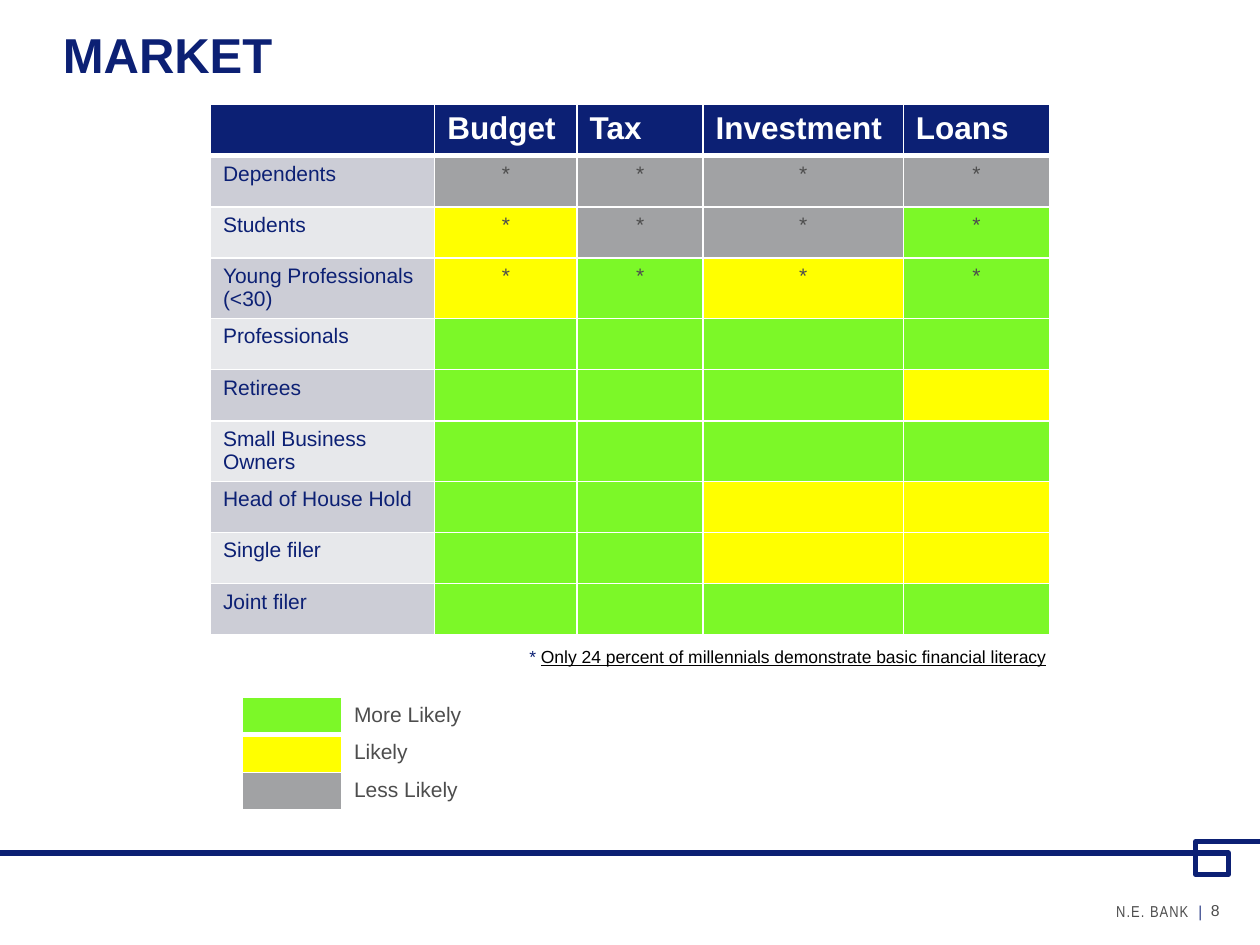
"""Build the market slide: a likelihood grid by customer group with its legend."""
import lxml.etree
import pptx
import pptx.dml.color
import pptx.enum.text
import pptx.oxml.ns
import pptx.util

Inches = pptx.util.Inches
Pt = pptx.util.Pt
qn = pptx.oxml.ns.qn
ALIGN = pptx.enum.text.PP_ALIGN
ANCHOR = pptx.enum.text.MSO_ANCHOR

COLORS = {
    "navy": "0C2074", "white": "FFFFFF", "black": "000000", "text": "4D4D4D",
    "more": "7CF828", "likely": "FFFF00", "less": "A1A2A4",
    "band_dark": "CCCDD6", "band_light": "E7E8EB",
}
HEADER = {"size": Pt(18), "bold": True, "color": "white"}
GROUP = {"size": Pt(12), "color": "navy"}
BODY = {"size": Pt(12), "color": "text"}
FOOTER = {"size": Pt(9), "color": "text"}
LEVELS = {"M": "more", "L": "likely", "S": "less"}
SERVICES = ["", "Budget", "Tax", "Investment", "Loans"]
GROUPS = [
    ("Dependents", "SSSS", "*"),
    ("Students", "LSSM", "*"),
    ("Young Professionals (<30)", "LMLM", "*"),
    ("Professionals", "MMMM", ""),
    ("Retirees", "MMML", ""),
    ("Small Business Owners", "MMMM", ""),
    ("Head of House Hold", "MMLL", ""),
    ("Single filer", "MMLL", ""),
    ("Joint filer", "MMMM", ""),
]
LEGEND = [("more", "More Likely"), ("likely", "Likely"), ("less", "Less Likely")]
RAIL = [(10, 6.68), (9.49, 6.68), (9.49, 6.94), (9.75, 6.94), (9.75, 6.77), (0, 6.77)]


def rgb(name):
    """Return the named color."""
    return pptx.dml.color.RGBColor.from_string(COLORS[name])


def add_span(para, text, style):
    """Add a run of text formatted by a dict of font values."""
    span = para.add_run()
    span.text = text
    for key, value in {"name": "Arial", **style}.items():
        if key == "color":
            span.font.color.rgb = rgb(value)
        else:
            setattr(span.font, key, value)
    return span


def add_text(page, place, spans, align=ALIGN.LEFT, anchor=ANCHOR.BOTTOM, inset=0):
    """Add a wrapped one-paragraph text box and return its runs."""
    box = page.shapes.add_textbox(*map(Inches, place))
    frame = box.text_frame
    values = {"word_wrap": True, "vertical_anchor": anchor}
    for index, side in enumerate(("left", "right", "top", "bottom")):
        values[f"margin_{side}"] = Inches(inset if index < 2 else inset / 2)
    for key, value in values.items():
        setattr(frame, key, value)
    para = frame.paragraphs[0]
    para.alignment = align
    return [add_span(para, text, style) for text, style in spans]


def set_borders(cell, bottom):
    """Give a cell white borders with its own bottom width in points."""
    properties = cell._tc.get_or_add_tcPr()
    widths = {"lnL": 1, "lnR": 1, "lnT": 1, "lnB": bottom}
    for index, (tag, width) in enumerate(widths.items()):
        line = lxml.etree.Element(qn(f"a:{tag}"), w=str(Pt(width)))
        solid = lxml.etree.SubElement(line, qn("a:solidFill"))
        lxml.etree.SubElement(solid, qn("a:srgbClr"), val=COLORS["white"])
        properties.insert(index, line)


def fill_cell(cell, text, fill, style, align):
    """Write a cell's text and fill; an empty cell keeps the text size."""
    cell.margin_bottom = Inches(0.03)
    para = cell.text_frame.paragraphs[0]
    para.alignment = align
    if text:
        add_span(para, text, style)
    else:
        size = str(int(style["size"].pt * 100))
        lxml.etree.SubElement(para._p, qn("a:endParaRPr"), sz=size)
    if fill:
        cell.fill.solid()
        cell.fill.fore_color.rgb = rgb(fill)
    else:
        cell.fill.background()


def add_grid(page, place, widths, rows):
    """Add a table of equal rows from (text, fill, style, align) cells."""
    size = (len(rows), len(widths))
    table = page.shapes.add_table(*size, *map(Inches, place)).table
    table.horz_banding = False
    for column, width in zip(table.columns, widths):
        column.width = Inches(width)
    for row_index, row in enumerate(rows):
        table.rows[row_index].height = Inches(place[3] / len(rows))
        for column_index, content in enumerate(row):
            cell = table.cell(row_index, column_index)
            fill_cell(cell, *content)
            set_borders(cell, 1 if row_index else 3)


def market_rows():
    """Return the header and customer rows of the market grid."""
    rows = [[(name, "navy", HEADER, ALIGN.LEFT) for name in SERVICES]]
    for index, (group, levels, mark) in enumerate(GROUPS):
        band = "band_light" if index % 2 else "band_dark"
        cells = [(mark, LEVELS[level], BODY, ALIGN.CENTER) for level in levels]
        rows.append([(group, band, GROUP, ALIGN.LEFT), *cells])
    return rows


def legend_rows():
    """Return the swatch and label rows of the legend."""
    return [[("", color, BODY, ALIGN.LEFT), (label, None, BODY, ALIGN.LEFT)]
            for color, label in LEGEND]


def add_rail(page):
    """Add the navy footer line with its plain square loop."""
    points = [(Inches(left), Inches(top)) for left, top in RAIL]
    builder = page.shapes.build_freeform(*points[0])
    builder.add_line_segments(points[1:], close=False)
    rail = builder.convert_to_shape()
    rail.shadow.inherit = False
    rail.fill.background()
    rail.line.color.rgb = rgb("navy")
    rail.line.width = Pt(3)


def add_footer(page):
    """Add the rail, bank name and page number."""
    add_rail(page)
    add_text(page, (9.61, 7.11, 0.39, 0.19), [("8", FOOTER)])
    narrow = {**FOOTER, "name": "Arial Narrow"}
    spans = [("N.E. BANK", narrow), ("  |", {**narrow, "color": "navy"})]
    for span in add_text(page, (7.86, 7.11, 1.68, 0.2), spans, ALIGN.RIGHT):
        span.font._element.set("spc", "60")


def main():
    """Build and save the slide."""
    deck = pptx.Presentation()
    deck.slide_width, deck.slide_height = Inches(10), Inches(7.5)
    page = deck.slides.add_slide(deck.slide_layouts[6])
    add_footer(page)
    title = {"size": Pt(28), "bold": True, "color": "navy"}
    add_text(page, (0.5, 0.08, 9, 0.58), [("MARKET", title)])
    add_grid(page, (1.67, 0.83, 6.66, 4.06), (1.78, 1.13, 1, 1.59, 1.16), market_rows())
    note = {"size": Pt(10), "color": "black", "underline": True}
    add_text(page, (4, 5.08, 4.5, 0.27), [
        ("* ", {"size": Pt(10), "color": "navy"}),
        ("Only 24 percent of millennials demonstrate basic financial literacy", note),
    ], ALIGN.CENTER, ANCHOR.TOP, 0.1)
    add_grid(page, (1.92, 5.53, 2.33, 0.9), (0.79, 1.54), legend_rows())
    deck.save("out.pptx")


if __name__ == "__main__":
    main()
